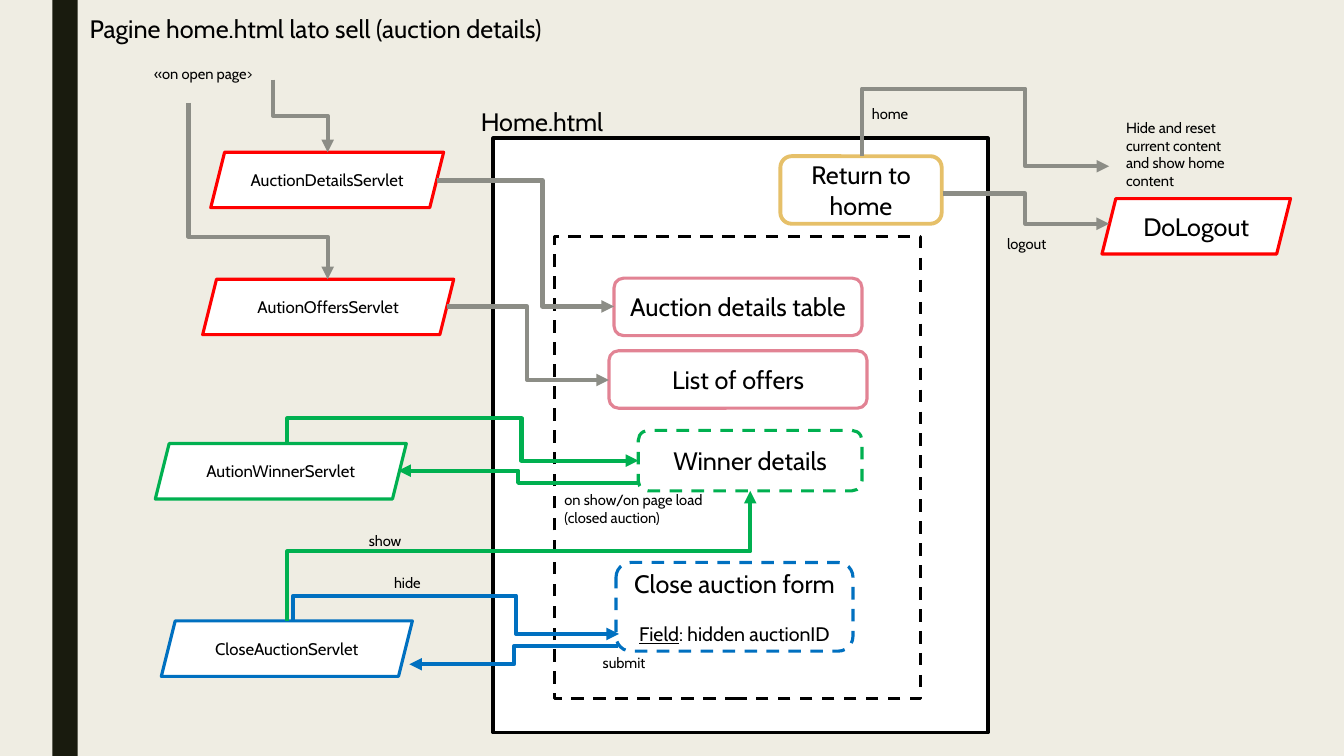
from pptx import Presentation
from pptx.dml.color import RGBColor
from pptx.enum.dml import MSO_LINE
from pptx.enum.shapes import MSO_CONNECTOR, MSO_SHAPE
from pptx.enum.text import MSO_ANCHOR, MSO_AUTO_SIZE, PP_ALIGN
from pptx.oxml.ns import qn
from pptx.util import Inches, Pt
from lxml.etree import SubElement

FONT = "Cabin"
BACKGROUND = RGBColor(0xEF, 0xED, 0xE3)
BAR = RGBColor(0x19, 0x1B, 0x0E)
WHITE = RGBColor(0xFF, 0xFF, 0xFF)
BLACK = RGBColor(0, 0, 0)
RED = RGBColor(0xFF, 0, 0)
GRAY = RGBColor(0x8C, 0x8D, 0x86)
PINK = RGBColor(0xE2, 0x83, 0x94)
GOLD = RGBColor(0xE6, 0xC0, 0x69)
GREEN = RGBColor(0, 0xB0, 0x50)
BLUE = RGBColor(0, 0x70, 0xC0)

# Frames: left, top, width, height, line colour, dashed
FRAMES = [
    (4.89, 1.37, 4.91, 5.9, BLACK, False),
    (5.5, 2.35, 3.63, 4.58, BLACK, True),
]

# Servlets: text, left, top, width, line colour, text size
SERVLET_HEIGHT = 0.55
SERVLETS = [
    ("AuctionDetailsServlet", 2.09, 1.51, 2.31, RED, 12),
    ("AutionOffersServlet", 2.01, 2.77, 2.49, RED, 12),
    ("AutionWinnerServlet", 1.54, 4.4, 2.49, GREEN, 12),
    ("CloseAuctionServlet", 1.6, 6.16, 2.49, BLUE, 12),
    ("DoLogout", 10.93, 1.97, 1.87, RED, 18),
]

# Page components: text, left, top, width, height, colour, line width, dashed
COMPONENTS = [
    ("Auction details table", 6.09, 2.76, 2.46, 0.57, PINK, 2.25, False),
    ("List of offers", 6.04, 3.48, 2.56, 0.57, PINK, 2.25, False),
    ("Winner details", 6.33, 4.27, 2.22, 0.6, GREEN, 2.25, True),
    ("Close auction form", 6.11, 5.58, 2.35, 0.88, BLUE, 2.25, True),
    ("Return to home", 7.74, 1.55, 1.6, 0.67, GOLD, 2.75, False),
]
FORM_FIELD = [("Field", True), (": hidden auctionID", False)]

# Arrows: colour and the points they pass through
ARROWS = [
    (GRAY, [(2.71, 0.79), (2.71, 1.15), (3.25, 1.15), (3.25, 1.51)]),
    (GRAY, [(1.87, 1.02), (1.87, 2.35), (3.25, 2.35), (3.25, 2.77)]),
    (GRAY, [(4.43, 3.04), (5.23, 3.04), (5.23, 3.77), (6.04, 3.77)]),
    (GRAY, [(4.33, 1.79), (5.38, 1.79), (5.38, 3.04), (6.09, 3.04)]),
    (GREEN, [(6.33, 4.79), (5.14, 4.79), (5.14, 4.67), (3.95, 4.67)]),
    (GREEN, [(2.85, 4.4), (2.85, 4.15), (5.17, 4.15), (5.17, 4.57), (6.33, 4.57)]),
    (BLUE, [(6.13, 6.41), (5.1, 6.41), (5.1, 6.59), (4.06, 6.59)]),
    (BLUE, [(2.91, 6.16), (2.91, 5.91), (5.12, 5.91), (5.12, 6.29), (6.14, 6.29)]),
    (GREEN, [(2.85, 6.16), (2.85, 5.47), (7.44, 5.47), (7.44, 4.87)]),
    (GRAY, [(9.35, 1.92), (10.17, 1.92), (10.17, 2.22), (11, 2.22)]),
    (GRAY, [(8.55, 1.55), (8.55, 0.88), (10.17, 0.88), (10.17, 1.65), (11, 1.65)]),
]

# Labels: text, left, top, width, height, text size
LABELS = [
    ("Pagine home.html lato sell (auction details)", 0.79, 0.08, 5.06, 0.4, 18),
    ("Home.html", 4.67, 1.01, 2.15, 0.4, 18),
    ("submit", 5.88, 6.44, 1.4, 0.28, 10.5),
    ("hide", 3.81, 5.64, 1.4, 0.28, 10.5),
    ("show", 3.56, 5.23, 1.4, 0.28, 10.5),
    ("on show/on page load (closed auction)", 5.5, 4.82, 1.59, 0.45, 10.5),
    ("«on open page>", 1.43, 0.59, 2.15, 0.29, 10.5),
    ("logout", 9.89, 2.28, 1.4, 0.28, 10.5),
    ("home", 8.55, 0.99, 1.4, 0.28, 10.5),
    ("Hide and reset current content and show home content",
     11.07, 1.13, 1.4, 0.81, 10.5),
]


def add_run(paragraph, text, size, underline=False):
    run = paragraph.add_run()
    run.text = text
    run.font.name = FONT
    run.font.size = Pt(size)
    run.font.color.rgb = BLACK
    if underline:
        run.font.underline = True


def add_box(slide, kind, box, color, text="", size=18, line_width=2.25, dashed=False):
    shape = slide.shapes.add_shape(kind, *map(Inches, box))
    shape.shadow.inherit = False
    shape.fill.solid()
    shape.fill.fore_color.rgb = WHITE
    shape.line.color.rgb = color
    shape.line.width = Pt(line_width)
    if dashed:
        shape.line.dash_style = MSO_LINE.DASH
    if text:
        shape.text_frame.word_wrap = True
        shape.text_frame.vertical_anchor = MSO_ANCHOR.MIDDLE
        paragraph = shape.text_frame.paragraphs[0]
        paragraph.alignment = PP_ALIGN.CENTER
        add_run(paragraph, text, size)
    return shape


def add_label(slide, text, left, top, width, height, size):
    label = slide.shapes.add_textbox(*map(Inches, (left, top, width, height)))
    label.text_frame.word_wrap = True
    label.text_frame.auto_size = MSO_AUTO_SIZE.SHAPE_TO_FIT_TEXT
    add_run(label.text_frame.paragraphs[0], text, size)


def add_arrow(slide, color, points):
    (x1, y1), (x2, y2) = points[0], points[-1]
    vertical_start = points[0][0] == points[1][0]
    begin, end = (x1, y1), (x2, y2)
    if vertical_start:
        # The frame lies on its side, around the same centre
        center_x, center_y = (x1 + x2) / 2, (y1 + y2) / 2
        half_width = abs(y2 - y1) / 2
        half_height = (x2 - x1) / 2 * (1 if y2 > y1 else -1)
        begin = (center_x + half_width, center_y - half_height)
        end = (center_x - half_width, center_y + half_height)
    connector = slide.shapes.add_connector(
        MSO_CONNECTOR.ELBOW, *map(Inches, begin + end))
    connector.line.color.rgb = color
    connector.line.width = Pt(3)
    properties = connector._element.spPr
    if vertical_start:
        properties.find(qn("a:xfrm")).set("rot", str((270 if y2 > y1 else 90) * 60000))

    # Each inner segment is placed as a share of the total distance
    geometry = properties.find(qn("a:prstGeom"))
    geometry.set("prst", f"bentConnector{len(points) - 1}")
    adjustments = geometry.find(qn("a:avLst"))
    for index, point in enumerate(points[1:-2], 1):
        axis = (index + vertical_start + 1) % 2
        start, finish = points[0][axis], points[-1][axis]
        share = round((point[axis] - start) / (finish - start) * 100000)
        SubElement(adjustments, qn("a:gd"), name=f"adj{index}" if len(points) > 4 else "adj1",
                   fmla=f"val {share}")
    SubElement(properties.find(qn("a:ln")), qn("a:tailEnd"), type="triangle")
    SubElement(properties, qn("a:effectLst"))


def main():
    presentation = Presentation()
    presentation.slide_width = Inches(13.33)
    presentation.slide_height = Inches(7.5)
    slide = presentation.slides.add_slide(presentation.slide_layouts[6])

    # Background and side bar
    slide.background.fill.solid()
    slide.background.fill.fore_color.rgb = BACKGROUND
    bar = add_box(slide, MSO_SHAPE.RECTANGLE, (0.52, 0, 0.25, 7.5), BAR)
    bar.fill.fore_color.rgb = BAR
    bar.line.fill.background()

    # Page frames, servlets and components
    for *box, color, dashed in FRAMES:
        add_box(slide, MSO_SHAPE.RECTANGLE, box, color, dashed=dashed)
    for text, left, top, width, color, size in SERVLETS:
        add_box(slide, MSO_SHAPE.PARALLELOGRAM, (left, top, width, SERVLET_HEIGHT),
                color, text, size)
    components = {}
    for text, *box, color, line_width, dashed in COMPONENTS:
        components[text] = add_box(slide, MSO_SHAPE.ROUNDED_RECTANGLE, box, color,
                                   text, 18, line_width, dashed)

    # Field line of the form
    field = components["Close auction form"].text_frame.add_paragraph()
    field.alignment = PP_ALIGN.CENTER
    field.space_before = Pt(17)
    for text, underline in FORM_FIELD:
        add_run(field, text, 14, underline)

    # Arrows and labels
    for color, points in ARROWS:
        add_arrow(slide, color, points)
    for label in LABELS:
        add_label(slide, *label)

    presentation.save("out.pptx")


if __name__ == "__main__":
    main()
